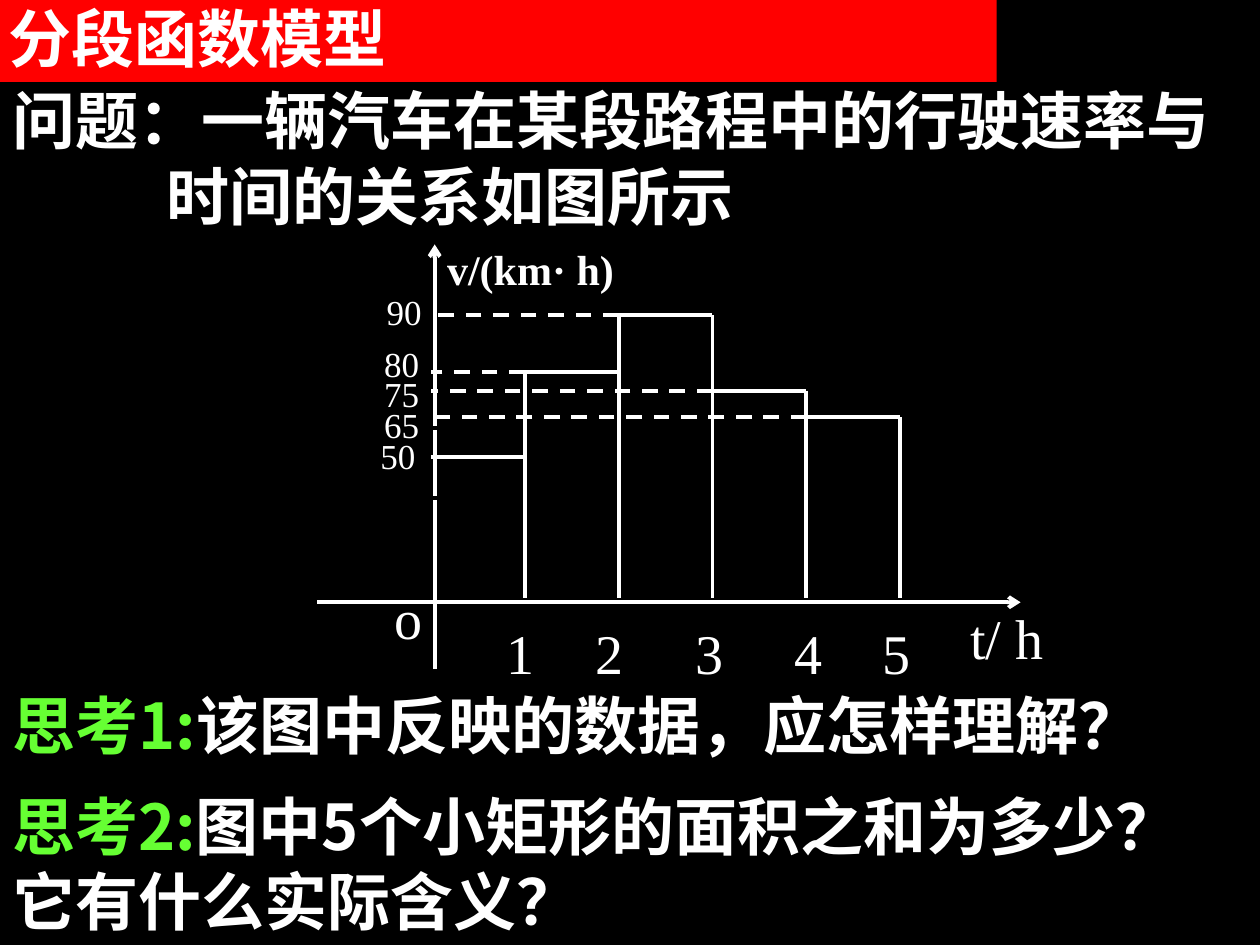
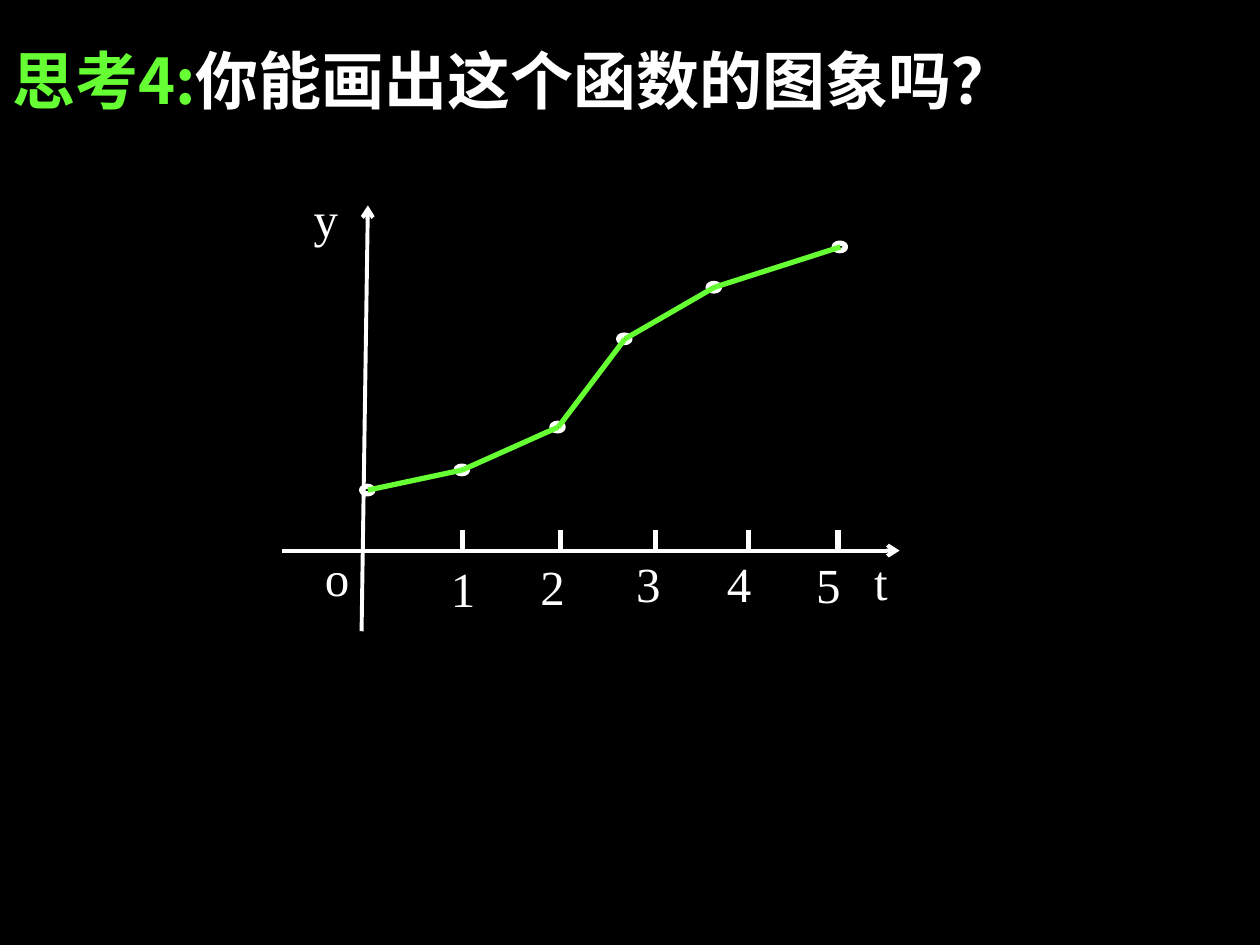
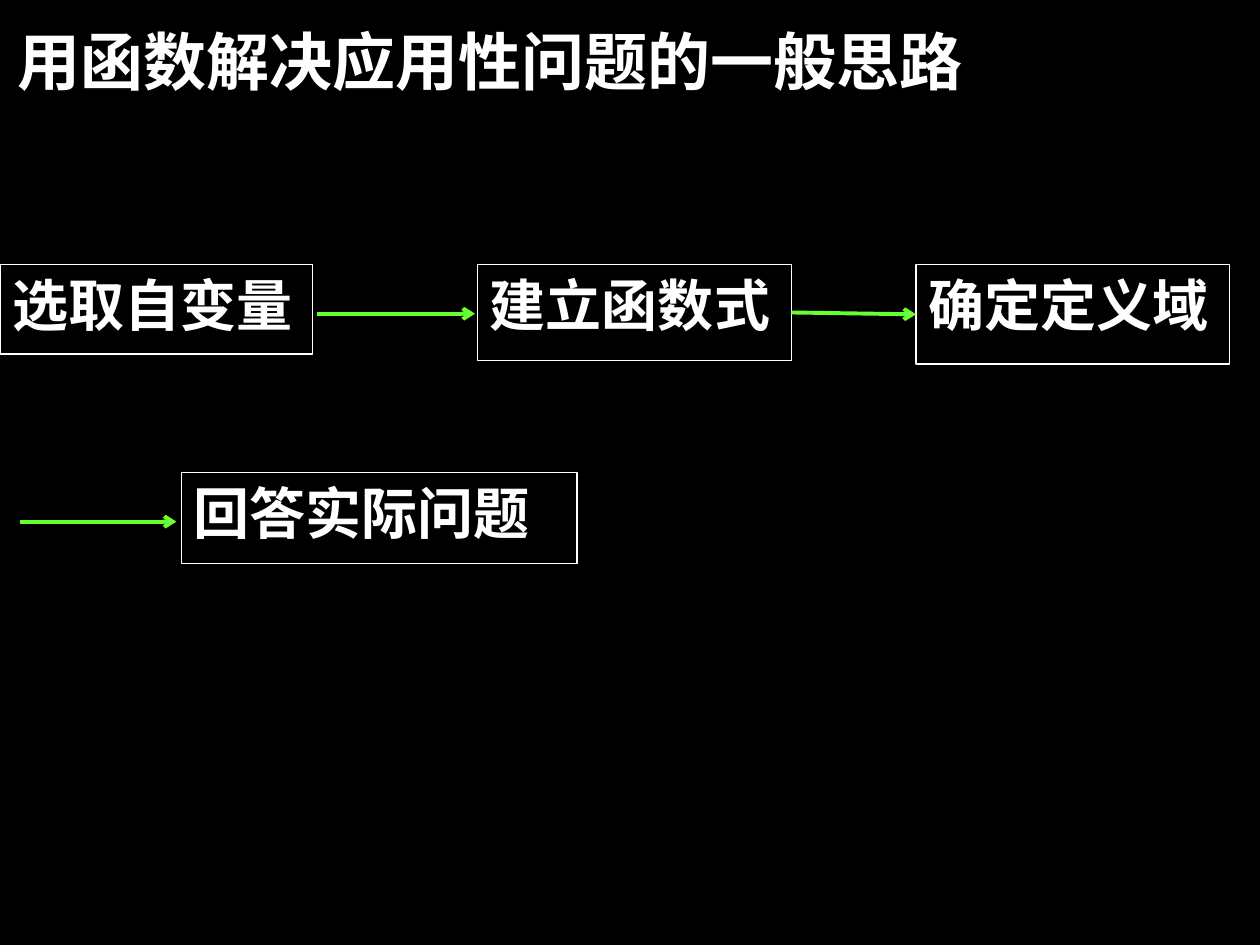
import pptx
import pptx.dml.color
import pptx.enum.dml
import pptx.enum.shapes
import pptx.enum.text
import pptx.oxml.ns
import pptx.util
from lxml import etree

Inches = pptx.util.Inches
COLORS = {"black": "000000", "white": "FFFFFF", "green": "66FF33", "red": "FF0000"}
CHINESE_FONT = "Noto Sans CJK SC"
LATIN_FONT = "Times New Roman"


def rgb(name):
    """Return the named colour of the palette."""
    return pptx.dml.color.RGBColor.from_string(COLORS[name])


def add_child(parent, tag, **attributes):
    """Append a drawing element to an XML parent."""
    return etree.SubElement(parent, pptx.oxml.ns.qn(tag), attributes)


def add_slide(presentation):
    """Add a blank slide with the black background."""
    slide = presentation.slides.add_slide(presentation.slide_layouts[6])
    slide.background.fill.solid()
    slide.background.fill.fore_color.rgb = rgb("black")
    return slide


def format_run(run, size, font, color, bold):
    """Give a run its size, typefaces, colour and weight."""
    run.font.size = pptx.util.Pt(size)
    run.font.bold = bold
    run.font.color.rgb = rgb(color)
    run.font.name = font
    add_child(run.font._element, "a:ea", typeface=CHINESE_FONT)


def write_text(shape, paragraphs, size, font, bold):
    """Fill a shape with paragraphs, each a list of text and colour pairs."""
    frame = shape.text_frame
    frame.word_wrap = True
    frame.vertical_anchor = pptx.enum.text.MSO_ANCHOR.TOP
    for index, parts in enumerate(paragraphs):
        paragraph = frame.add_paragraph() if index else frame.paragraphs[0]
        paragraph.alignment = pptx.enum.text.PP_ALIGN.LEFT
        for text, color in parts:
            run = paragraph.add_run()
            run.text = text
            format_run(run, size, font, color, bold)


def add_heading(slide, box, *paragraphs, font=CHINESE_FONT):
    """Add a bold heading text box that grows with its text."""
    shape = slide.shapes.add_textbox(*map(Inches, box))
    write_text(shape, paragraphs, 36, font, True)
    shape.text_frame.auto_size = pptx.enum.text.MSO_AUTO_SIZE.SHAPE_TO_FIT_TEXT
    return shape


def add_label(slide, text, left, top, size, width=0.6, height=0.5, bold=False):
    """Add a short axis label."""
    shape = slide.shapes.add_textbox(*map(Inches, (left, top, width, height)))
    write_text(shape, [[(text, "white")]], size, LATIN_FONT, bold)


def add_outlined(slide, kind, box, line, width, fill=None):
    """Add a preset shape with an outline and an optional fill."""
    shape = slide.shapes.add_shape(kind, *map(Inches, box))
    shape.shadow.inherit = False
    if fill:
        shape.fill.solid()
        shape.fill.fore_color.rgb = rgb(fill)
    else:
        shape.fill.background()
    shape.line.color.rgb = rgb(line)
    shape.line.width = pptx.util.Pt(width)
    return shape


def add_line(slide, start, end, color="white", width=2.25, dashed=False, arrow=False):
    """Add a straight line that may be dashed or end in an arrowhead."""
    line = slide.shapes.add_connector(
        pptx.enum.shapes.MSO_CONNECTOR.STRAIGHT, *map(Inches, (*start, *end)))
    line.line.color.rgb = rgb(color)
    line.line.width = pptx.util.Pt(width)
    if dashed:
        line.line.dash_style = pptx.enum.dml.MSO_LINE.DASH
    if arrow:
        add_child(line.line._get_or_add_ln(), "a:tailEnd", type="arrow")
    add_child(line._element.spPr, "a:effectLst")
    return line


def draw_speed_graph(slide, left, top):
    """Draw the bars of speed against time from the graph's top left corner."""
    axis_x, axis_y, bar_left, step = left + 0.93, top + 2.9, left + 0.9, 0.745
    add_label(slide, "v/(km· h)", axis_x, top, 24, width=2.23, bold=True)
    add_line(slide, (left, axis_y), (left + 5.58, axis_y), arrow=True)
    add_line(slide, (axis_x, top + 3.43), (axis_x, top + 0.06), arrow=True)

    label_box = add_outlined(slide, pptx.enum.shapes.MSO_SHAPE.RECTANGLE,
                             (left + 0.4, top + 1.52, 0.63, 0.55), "black", 2.25)
    write_text(label_box, [[("50", "white")]], 20, LATIN_FONT, False)
    for text, x, y in (("65", 0.43, 1.27), ("75", 0.43, 1.03),
                       ("80", 0.43, 0.79), ("90", 0.45, 0.38)):
        add_label(slide, text, left + x, top + y, 20, width=0.7)

    heights = [top + y for y in (1.75, 1.07, 0.62, 1.22, 1.43)]
    for index, height in enumerate(heights):
        start = bar_left + index * step
        end = start + step
        add_line(slide, (start, height), (end, height))
        side_top = min(heights[index:index + 2])
        add_line(slide, (end, side_top), (end, axis_y - 0.03))
        if index:
            add_line(slide, (start, height), (bar_left, height), dashed=True)

    for text, x, y in (("o", 0.51, 2.7), ("1", 1.4, 2.98), ("2", 2.11, 2.98),
                       ("3", 2.9, 2.98), ("4", 3.69, 2.98), ("5", 4.39, 2.98)):
        add_label(slide, text, left + x, top + y, 32)
    add_label(slide, "t/ h", left + 5.08, top + 2.86, 32, width=1.12)


def draw_distance_graph(slide, left, top):
    """Draw the broken line of distance against time from its top left corner."""
    points = [(left + x, top + y) for x, y in (
        (0.68, 2.44), (1.43, 2.28), (2.19, 1.94), (2.72, 1.24), (3.43, 0.83), (4.43, 0.51))]
    for x, y in points:
        add_outlined(slide, pptx.enum.shapes.MSO_SHAPE.OVAL,
                     (x - 0.05, y - 0.03, 0.09, 0.06), "white", 3, fill="black")
    for start, end in zip(points, points[1:]):
        add_line(slide, start, end, "green", 3)

    axis_y = top + 2.92
    add_line(slide, (left, axis_y), (left + 4.9, axis_y), arrow=True)
    add_line(slide, (left + 0.63, top + 3.56), (left + 0.68, top + 0.18), arrow=True)
    for x in (1.43, 2.21, 2.96, 3.7, 4.41):
        add_line(slide, (left + x, axis_y - 0.16), (left + x, axis_y), width=3)
    for text, x, y in (("y", 0.15, 0), ("o", 0.24, 2.85), ("1", 1.24, 2.93),
                       ("2", 1.95, 2.92), ("3", 2.71, 2.89), ("4", 3.43, 2.89),
                       ("5", 4.14, 2.9), ("t", 4.6, 2.88)):
        add_label(slide, text, left + x, top + y, 28)


def draw_step(slide, text, left, top, width, height):
    """Draw one outlined step of the flow."""
    step = add_outlined(slide, pptx.enum.shapes.MSO_SHAPE.RECTANGLE,
                        (left, top, width, height), "white", 0.75)
    write_text(step, [[(text, "white")]], 32, CHINESE_FONT, True)
    return step


def draw_flow(slide, left, top):
    """Draw the four steps and their arrows from the flow's top left corner."""
    arrow_y, last_y = top + 0.39, top + 2.04
    draw_step(slide, "选取自变量", left, top, 2.48, 0.71)
    formula = draw_step(slide, "建立函数式", left + 3.79, top, 2.49, 0.76)
    domain = draw_step(slide, "确定定义域", left + 7.27, top, 2.49, 0.79)
    draw_step(slide, "回答实际问题", left + 1.44, top + 1.65, 3.14, 0.72)
    for start, end, y in ((2.52, 3.77, arrow_y), (0.16, 1.4, last_y)):
        add_line(slide, (left + start, y), (left + end, y), "green", arrow=True)
    joined = add_line(slide, (left + 6.28, arrow_y), (left + 7.27, arrow_y),
                      "green", arrow=True)
    joined.begin_connect(formula, 3)
    joined.end_connect(domain, 1)


def build_speed_slide(presentation):
    """Build the slide with the driving speed problem."""
    slide = add_slide(presentation)
    banner = add_heading(slide, (-0.03, -0.05, 7.94, 0.7),
                         [("分段函数模型", "white")], font="Arial")
    banner.fill.solid()
    banner.fill.fore_color.rgb = rgb("red")
    add_heading(slide, (0, 5.4, 9.88, 0.7),
                [("思考1:", "green"), ("该图中反映的数据，应怎样理解？", "white")])
    add_heading(slide, (0, 6.2, 10, 1.3),
                [("思考2:", "green"), ("图中5个小矩形的面积之和为多少？", "white")],
                [("它有什么实际含义？", "white")])
    problem = add_heading(slide, (0, 0.6, 10, 1.3), [
        ("问题：一辆汽车在某段路程中的行驶速率与时间的关系如图所示", "white")])
    properties = problem.text_frame.paragraphs[0]._p.get_or_add_pPr()
    properties.set("marL", str(Inches(1.22)))
    properties.set("indent", str(Inches(-1.22)))
    draw_speed_graph(slide, 2.52, 1.88)


def build_distance_slide(presentation):
    """Build the slide with the graph of the function."""
    slide = add_slide(presentation)
    add_heading(slide, (0, 0.28, 9.17, 0.7),
                [("思考4:", "green"), ("你能画出这个函数的图象吗？", "white")])
    draw_distance_graph(slide, 2.24, 1.45)


def build_method_slide(presentation):
    """Build the slide with the general way of solving."""
    slide = add_slide(presentation)
    add_heading(slide, (0.04, 0.13, 9.96, 0.7),
                [("用函数解决应用性问题的一般思路", "white")])
    draw_flow(slide, 0, 2.1)


def main():
    """Build and save the presentation."""
    presentation = pptx.Presentation()
    presentation.slide_width = Inches(10)
    presentation.slide_height = Inches(7.5)
    build_speed_slide(presentation)
    build_distance_slide(presentation)
    build_method_slide(presentation)
    presentation.save("out.pptx")


if __name__ == "__main__":
    main()
